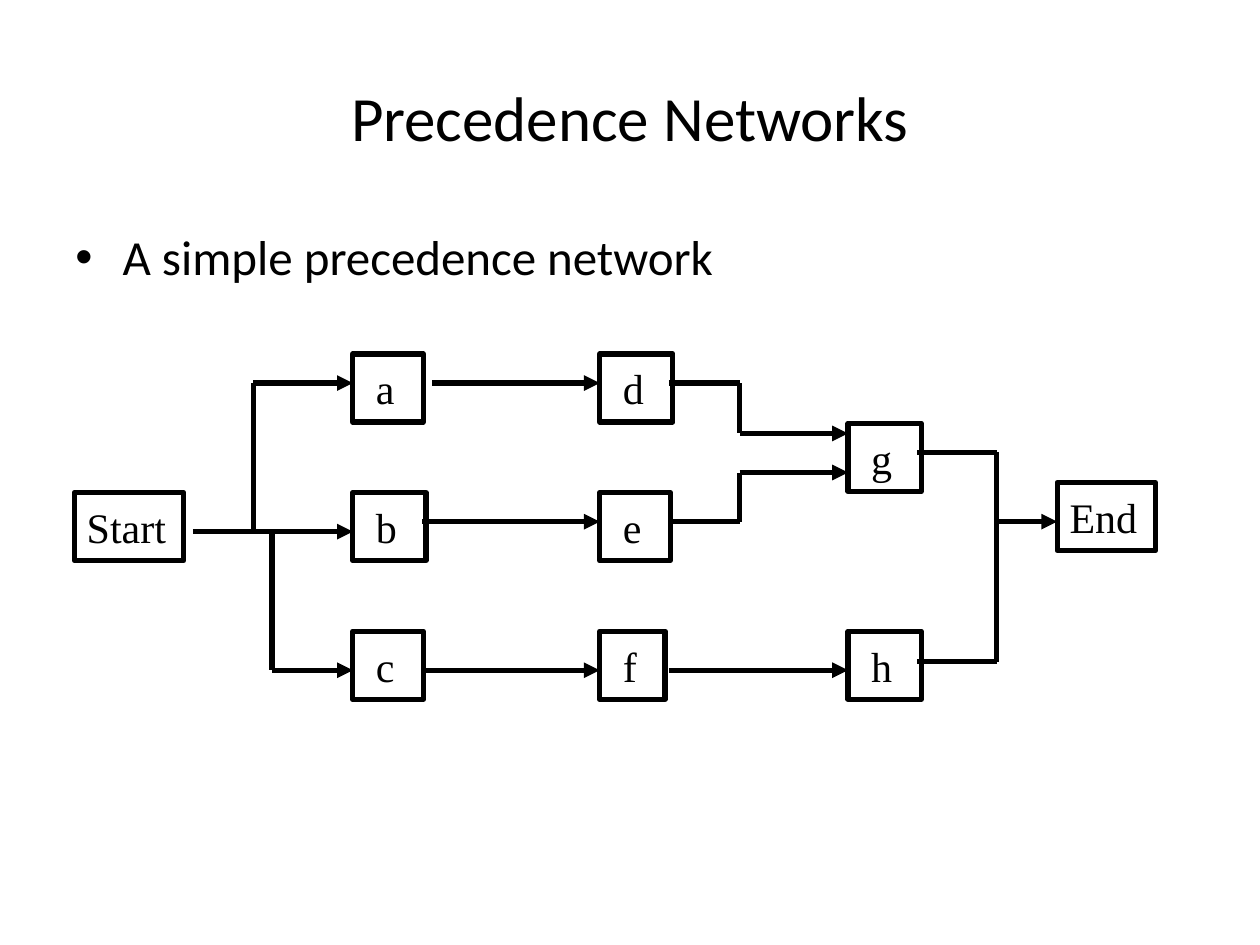
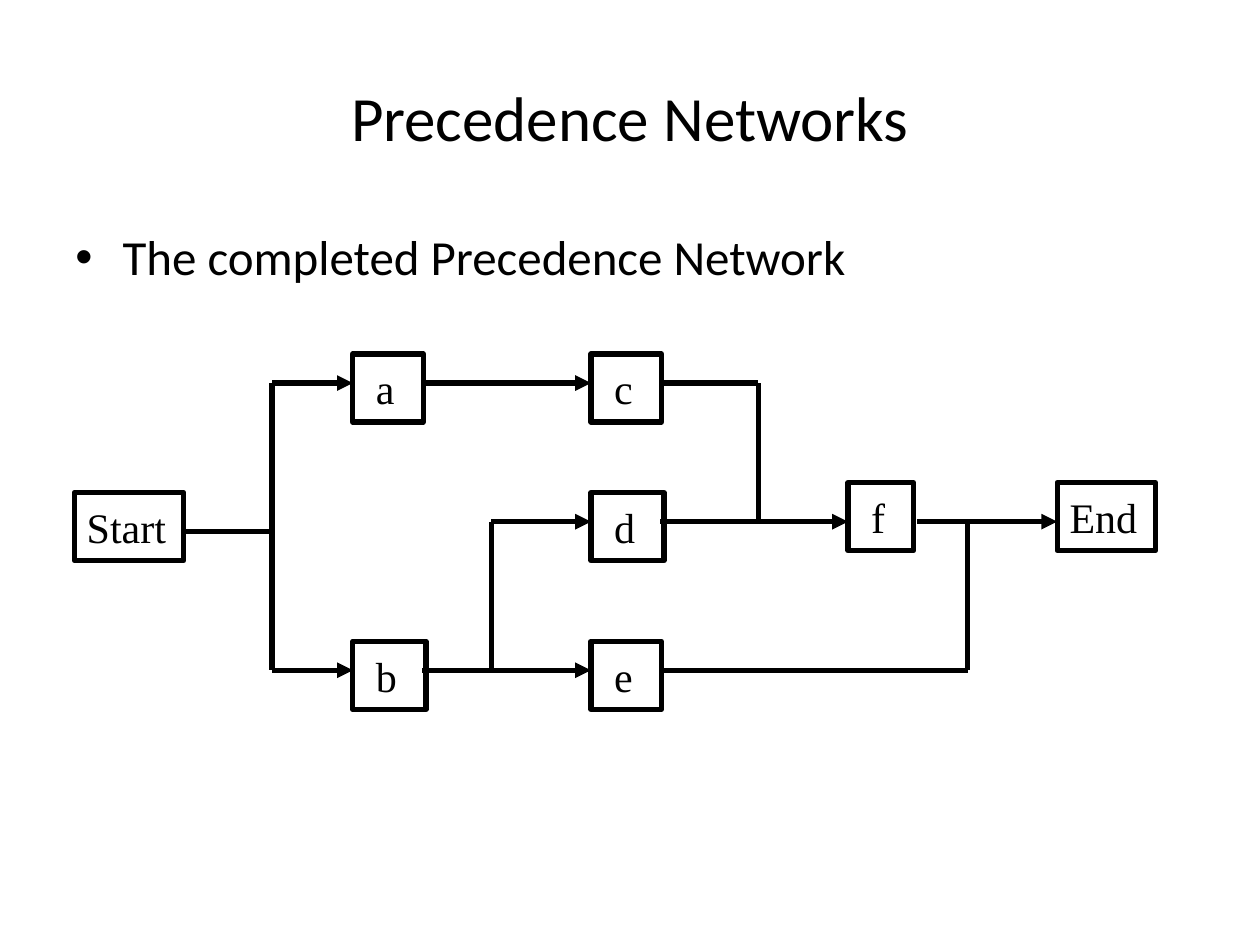
from itertools import pairwise
from pptx import Presentation
from pptx.dml.color import RGBColor
from pptx.enum import shapes, text
from pptx.oxml.ns import qn
from pptx.util import Pt

INK = {"page": "FFFFFF", "line": "000000", "text": "000000"}
HEAD, BODY, NODE = ("Calibri", 36), ("Calibri", 28), ("Times New Roman", 24)
TITLE = "Precedence Networks"

# Box sizes: the width follows the label
HIGH = 38.9
WIDE = {"Start": 62.6, "End": 56.2, "f": 37.4,
        **dict.fromkeys("ace", 40.3), **dict.fromkeys("bdgh", 41.8)}

# Box columns and rows
START, LEFT, MID, MID2, RIGHT, END = 42.5, 201.6, 342.7, 337.7, 484.6, 604.1
ROWS = [202.3 + 79.2 * i for i in range(3)]
HALF, ENDROW, LOW = 241.9, 275.8, 366.5

# Line heights, and turning points shared by both networks
TOP, CORE, STEM, BASE = 218.9, 298.1, 303.8, 383
FORK, OUT = 155.5, 241.2

# Each network: bullet, boxes (label: left, top), routes (arrow at the end?, points)
NETS = [
    {"point": "A simple precedence network",
     "boxes": {"Start": (START, ROWS[1]), "End": (END, ENDROW),
               "a": (LEFT, ROWS[0]), "b": (LEFT, ROWS[1]), "c": (LEFT, ROWS[2]),
               "d": (MID, ROWS[0]), "e": (MID, ROWS[1]), "f": (MID, ROWS[2]),
               "g": (RIGHT, HALF), "h": (RIGHT, ROWS[2])},
     "routes": [
         (True, [(110.2, STEM), (LEFT, STEM)]),
         (True, [(144.7, STEM), (144.7, TOP), (LEFT, TOP)]),
         (True, [(FORK, STEM), (FORK, BASE), (LEFT, BASE)]),
         (True, [(247, TOP), (MID, TOP)]),
         (True, [(OUT, CORE), (MID, CORE)]),
         (True, [(OUT, BASE), (MID, BASE)]),
         (True, [(382.3, BASE), (RIGHT, BASE)]),
         (True, [(382.3, TOP), (422.6, TOP), (422.6, 247.7), (RIGHT, 247.7)]),
         (True, [(382.3, CORE), (422.6, CORE), (422.6, 270), (RIGHT, 270)]),
         (False, [(524.2, 258.5), (569.5, 258.5), (569.5, 378), (524.2, 378)]),
         (True, [(569.5, CORE), (END, CORE)])]},
    {"point": "The completed Precedence Network",
     "boxes": {"Start": (START, ROWS[1]), "End": (END, ENDROW),
               "a": (LEFT, ROWS[0]), "b": (LEFT, LOW),
               "c": (MID2, ROWS[0]), "d": (MID2, ROWS[1]), "e": (MID2, LOW),
               "f": (RIGHT, ENDROW)},
     "routes": [
         (False, [(105.1, STEM), (FORK, STEM)]),
         (True, [(FORK, STEM), (FORK, TOP), (LEFT, TOP)]),
         (True, [(FORK, STEM), (FORK, BASE), (LEFT, BASE)]),
         (True, [(OUT, TOP), (MID2, TOP)]),
         (True, [(OUT, BASE), (MID2, BASE)]),
         (True, [(280.8, BASE), (280.8, CORE), (MID2, CORE)]),
         (True, [(377.3, CORE), (RIGHT, CORE)]),
         (False, [(377.3, TOP), (433.4, TOP), (433.4, CORE)]),
         (True, [(524.2, CORE), (END, CORE)]),
         (False, [(377.3, BASE), (553, BASE), (553, CORE)])]},
]


def color(name):
    return RGBColor.from_string(INK[name])


def write(frame, words, face, align, anchor):
    frame.word_wrap = True
    frame.vertical_anchor = anchor
    para = frame.paragraphs[0]
    para.text = words
    para.alignment = align
    para.font.name, para.font.size = face[0], Pt(face[1])
    para.font.color.rgb = color("text")
    return para


def stroke(line):
    line.color.rgb = color("line")
    line.width = Pt(3)


def add_head(slide, point):
    title = slide.shapes.title
    title.left, title.top, title.width, title.height = map(Pt, (36, 21.6, 648, 90))
    write(title.text_frame, TITLE, HEAD, text.PP_ALIGN.CENTER, text.MSO_ANCHOR.MIDDLE)
    body = slide.shapes.add_textbox(*map(Pt, (36, 126, 648, 356.4)))
    para = write(body.text_frame, point, BODY, text.PP_ALIGN.LEFT, text.MSO_ANCHOR.TOP)
    # Hanging bullet
    props = para._p.get_or_add_pPr()
    props.set("marL", str(Pt(27)))
    props.set("indent", str(Pt(-27)))
    font = props.makeelement(qn("a:buFont"), {"typeface": "Arial"})
    mark = props.makeelement(qn("a:buChar"), {"char": "•"})
    props.insert(0, font)
    font.addnext(mark)


def add_box(slide, label, left, top):
    box = slide.shapes.add_shape(shapes.MSO_SHAPE.RECTANGLE,
                                 *map(Pt, (left, top, WIDE[label], HIGH)))
    box.shadow.inherit = False
    box.fill.background()
    stroke(box.line)
    frame = box.text_frame
    frame.margin_left = Pt(13.2 if len(label) == 1 else 7.2)
    frame.margin_right = 0
    write(frame, label, NODE, text.PP_ALIGN.LEFT, text.MSO_ANCHOR.MIDDLE)


def add_route(slide, arrow, points):
    for start, end in pairwise(points):
        link = slide.shapes.add_connector(shapes.MSO_CONNECTOR.STRAIGHT,
                                          *map(Pt, start + end))
        stroke(link.line)
        props = link._element.spPr
        props.append(props.makeelement(qn("a:effectLst"), {}))
    if arrow:
        line = link.line._get_or_add_ln()
        line.append(line.makeelement(qn("a:tailEnd"), {"type": "triangle"}))


def main():
    deck = Presentation()
    deck.slide_width, deck.slide_height = Pt(720), Pt(540)
    for net in NETS:
        slide = deck.slides.add_slide(deck.slide_layouts[5])
        slide.background.fill.solid()
        slide.background.fill.fore_color.rgb = color("page")
        add_head(slide, net["point"])
        for label, spot in net["boxes"].items():
            add_box(slide, label, *spot)
        for arrow, points in net["routes"]:
            add_route(slide, arrow, points)
    deck.save("out.pptx")


if __name__ == "__main__":
    main()
